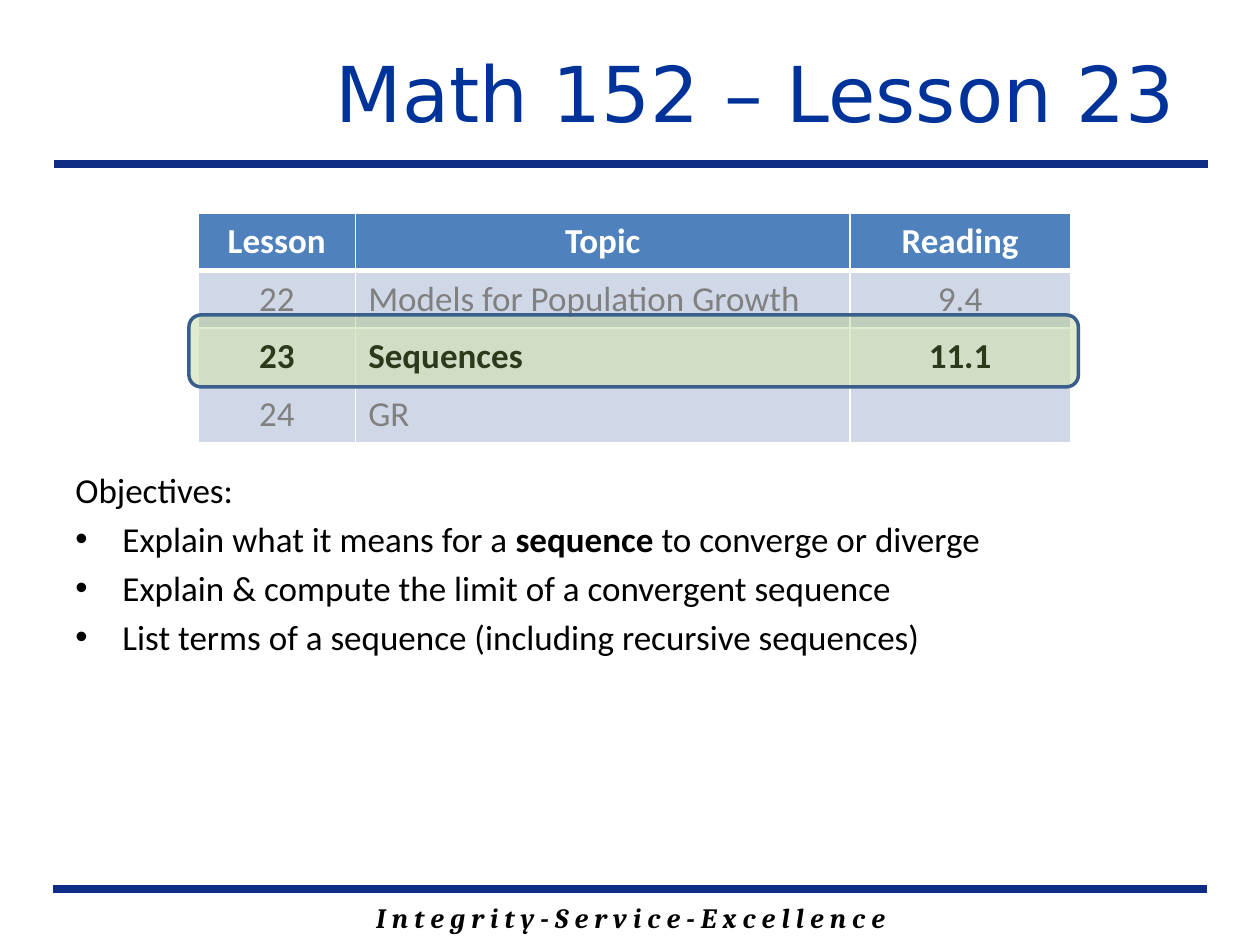
from lxml.etree import SubElement
from pptx import Presentation
from pptx.dml.color import RGBColor as RGB
from pptx.enum.shapes import MSO_CONNECTOR as Connector, MSO_SHAPE as Shape
from pptx.enum.text import MSO_ANCHOR as Anchor, PP_ALIGN as Align
from pptx.oxml.ns import qn
from pptx.util import Cm, Pt

THEME = {
    "rule": RGB.from_string("0C2D83"),
    "title": RGB.from_string("003399"),
    "ink": RGB.from_string("000000"),
    "muted": RGB.from_string("808080"),
    "white": RGB.from_string("FFFFFF"),
    "header": RGB.from_string("4F81BD"),
    "band": RGB.from_string("D0D8E8"),
    "current": RGB.from_string("E9EDF4"),
    "highlight": RGB.from_string("9BBB59"),
    "outline": RGB.from_string("3A5F8C"),
    "title_font": {"name": "DejaVu Sans", "size": Pt(44)},
    "body_font": {"name": "Calibri", "size": Pt(20)},
    "motto_font": {"name": "Cambria", "size": Pt(16), "bold": True, "italic": True},
}


def add_run(paragraph, text, color, font):
    run = paragraph.add_run()
    run.text = text
    run.font.color.rgb = THEME[color]
    for attribute, value in font.items():
        setattr(run.font, attribute, value)


def add_frame(left, top, width, height, anchor=Anchor.TOP):
    frame = slide.shapes.add_textbox(Cm(left), Cm(top), Cm(width), Cm(height)).text_frame
    frame.word_wrap = True
    frame.vertical_anchor = anchor
    return frame


deck = Presentation()
deck.slide_width, deck.slide_height = Cm(25.4), Cm(19.05)
slide = deck.slides.add_slide(deck.slide_layouts[6])

motto = add_frame(3.61, 18.03, 18.21, 0.94).paragraphs[0]
motto.alignment = Align.CENTER
add_run(motto, "I n t e g r i t y - S e r v i c e - E x c e l l e n c e", "ink", THEME["motto_font"])

for left, top in ((1.07, 17.93), (1.09, 3.3)):
    rule = slide.shapes.add_connector(
        Connector.STRAIGHT, Cm(left), Cm(top), Cm(left + 23.27), Cm(top))
    rule.line.color.rgb = THEME["rule"]
    rule.line.width = Pt(4.5)
    SubElement(rule.line._get_or_add_ln().getparent(), qn("a:effectLst"))

heading = add_frame(5.59, 0.25, 18.85, 3.18, Anchor.MIDDLE)
heading.margin_right = Cm(0.74)
heading.paragraphs[0].alignment = Align.RIGHT
add_run(heading.paragraphs[0], "Math 152 – Lesson 23", "title", THEME["title_font"])

LESSONS = [
    (("Lesson", "Topic", "Reading"), "header", "white", True),
    (("22", "Models for Population Growth", "9.4"), "band", "muted", False),
    (("23", "Sequences", "11.1"), "current", "ink", True),
    (("24", "GR", ""), "band", "muted", False),
]
schedule = slide.shapes.add_table(
    len(LESSONS), 3, Cm(3.99), Cm(4.29), Cm(17.59), Cm(4.64)).table
for column, width in zip(schedule.columns, (3.18, 9.96, 4.45)):
    column.width = Cm(width)

for row, (texts, fill, color, bold) in enumerate(LESSONS):
    schedule.rows[row].height = Cm(1.16)
    edges = {"a:lnL": 1, "a:lnR": 1, "a:lnT": 3 if row == 1 else 1, "a:lnB": 3 if row == 0 else 1}
    for column, text in enumerate(texts):
        cell = schedule.cell(row, column)
        cell.vertical_anchor = Anchor.MIDDLE
        for edge, points in edges.items():
            border = SubElement(cell._tc.get_or_add_tcPr(), qn(edge), w=str(Pt(points)))
            paint = SubElement(border, qn("a:solidFill"))
            SubElement(paint, qn("a:srgbClr"), val=str(THEME["white"]))
        cell.fill.solid()
        cell.fill.fore_color.rgb = THEME[fill]
        entry = cell.text_frame.paragraphs[0]
        entry.alignment = Align.LEFT if column == 1 and row else Align.CENTER
        add_run(entry, text, color, {**THEME["body_font"], "bold": bold})

highlight = slide.shapes.add_shape(
    Shape.ROUNDED_RECTANGLE, Cm(3.81), Cm(6.35), Cm(17.93), Cm(1.45))
highlight.shadow.inherit = False
highlight.fill.solid()
highlight.fill.fore_color.rgb = THEME["highlight"]
tint = highlight.fill._xPr.find(qn("a:solidFill"))[0]
SubElement(tint, qn("a:alpha"), val="30000")
highlight.line.color.rgb = THEME["outline"]
highlight.line.width = Pt(2)

OBJECTIVES = [
    [("Explain what it means for a ", False), ("sequence ", True), ("to converge or diverge", False)],
    [("Explain & compute the limit of a convergent sequence", False)],
    [("List terms of a sequence (including recursive sequences)", False)],
]
objectives = add_frame(1.27, 9.32, 22.86, 7.21)
add_run(objectives.paragraphs[0], "Objectives:", "ink", THEME["body_font"])
for parts in OBJECTIVES:
    objective = objectives.add_paragraph()
    properties = objective._p.get_or_add_pPr()
    properties.set("marL", str(Cm(0.95)))
    properties.set("indent", str(-Cm(0.95)))
    SubElement(properties, qn("a:buFont"), typeface="Arial")
    SubElement(properties, qn("a:buChar"), char="•")
    for text, bold in parts:
        add_run(objective, text, "ink", {**THEME["body_font"], "bold": bold})
for paragraph in objectives.paragraphs:
    paragraph.space_before = Pt(4)

deck.save("out.pptx")
